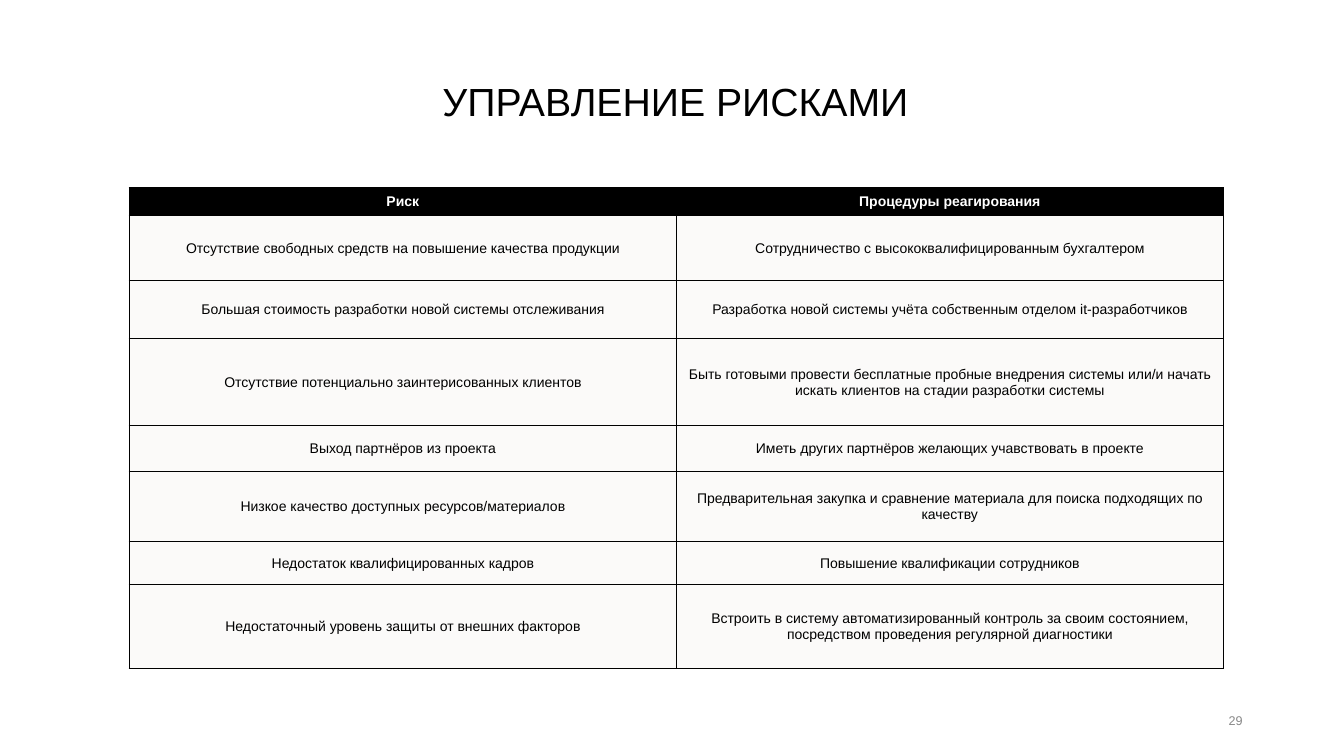
import pptx
import pptx.util
import pptx.dml.color
import pptx.enum.text
import pptx.oxml
import pptx.oxml.ns

Inches = pptx.util.Inches
Pt = pptx.util.Pt
RGBColor = pptx.dml.color.RGBColor
PP_ALIGN = pptx.enum.text.PP_ALIGN
MSO_ANCHOR = pptx.enum.text.MSO_ANCHOR

BLACK = RGBColor(0x00, 0x00, 0x00)
WHITE = RGBColor(0xFF, 0xFF, 0xFF)
CREAM = RGBColor(0xFB, 0xFA, 0xF9)
GREY = RGBColor(0x88, 0x88, 0x88)
FONT = "Arial"

SLIDE_W, SLIDE_H = Inches(13.33), Inches(7.5)
COL_WIDTHS = [5.43, 5.42]
ROW_HEIGHTS = [0.28, 0.64, 0.58, 0.86, 0.46, 0.69, 0.43, 0.83]
RISKS = [
    ("Риск", "Процедуры реагирования"),
    ("Отсутствие свободных средств на повышение качества продукции",
     "Сотрудничество с высококвалифицированным бухгалтером"),
    ("Большая стоимость разработки новой системы отслеживания",
     "Разработка новой системы учёта собственным отделом it-разработчиков"),
    ("Отсутствие потенциально заинтерисованных клиентов",
     "Быть готовыми провести бесплатные пробные внедрения системы или/и начать "
     "искать клиентов на стадии разработки системы"),
    ("Выход партнёров из проекта",
     "Иметь других партнёров желающих учавствовать в проекте"),
    ("Низкое качество доступных ресурсов/материалов",
     "Предварительная закупка и сравнение материала для поиска подходящих по качеству"),
    ("Недостаток квалифицированных кадров", "Повышение квалификации сотрудников"),
    ("Недостаточный уровень защиты от внешних факторов",
     "Встроить в систему автоматизированный контроль за своим состоянием, "
     "посредством проведения регулярной диагностики"),
]


def write(tf, text, size, color, align, bold=False):
    tf.text = text
    tf.word_wrap = True
    p = tf.paragraphs[0]
    p.alignment = align
    font = p.runs[0].font
    font.name = FONT
    font.size = Pt(size)
    font.bold = bold
    font.color.rgb = color


def place(sp, left, top, width, height):
    sp.left, sp.width = int(SLIDE_W * left), int(SLIDE_W * width)
    sp.top, sp.height = int(SLIDE_H * top), int(SLIDE_H * height)


def add_title(s, text):
    sp = s.shapes.title
    place(sp, 0.06, 0.07, 0.885, 0.134)
    tf = sp.text_frame
    write(tf, text, 28, BLACK, PP_ALIGN.CENTER)
    tf.vertical_anchor = MSO_ANCHOR.MIDDLE
    tf.paragraphs[0].line_spacing = 0.9


def add_page_number(s, text):
    sp = s.shapes.add_textbox(0, 0, 0, 0)
    place(sp, 0.707, 0.927, 0.225, 0.053)
    write(sp.text_frame, text, 9, GREY, PP_ALIGN.RIGHT)
    sp.text_frame.vertical_anchor = MSO_ANCHOR.MIDDLE


def set_borders(cell, color, width):
    tcPr = cell._tc.get_or_add_tcPr()
    for side in ("lnL", "lnR", "lnT", "lnB"):
        tcPr.append(pptx.oxml.parse_xml(
            f'<a:{side} {pptx.oxml.ns.nsdecls("a")} w="{Pt(width)}">'
            f'<a:solidFill><a:srgbClr val="{color}"/></a:solidFill></a:{side}>'))


def fill_cell(cell, text, header):
    cell.margin_left = cell.margin_right = cell.margin_top = Inches(0.01)
    cell.margin_bottom = 0
    cell.vertical_anchor = MSO_ANCHOR.MIDDLE
    set_borders(cell, BLACK, 0.75)
    cell.fill.solid()
    cell.fill.fore_color.rgb = BLACK if header else CREAM
    write(cell.text_frame, text, 10, WHITE if header else BLACK,
          PP_ALIGN.CENTER, bold=header)


def add_risk_table(s, rows):
    table = s.shapes.add_table(
        len(rows), len(COL_WIDTHS), Inches(1.28), Inches(1.86),
        Inches(sum(COL_WIDTHS)), Inches(sum(ROW_HEIGHTS))).table
    for col, width in zip(table.columns, COL_WIDTHS):
        col.width = Inches(width)
    for i, (row, height) in enumerate(zip(table.rows, ROW_HEIGHTS)):
        row.height = Inches(height)
        for cell, text in zip(row.cells, rows[i]):
            fill_cell(cell, text, header=i == 0)


def main():
    prs = pptx.Presentation()
    prs.slide_width, prs.slide_height = SLIDE_W, SLIDE_H
    s = prs.slides.add_slide(prs.slide_layouts[5])
    add_title(s, "УПРАВЛЕНИЕ РИСКАМИ")
    add_page_number(s, "29")
    add_risk_table(s, RISKS)
    prs.save("out.pptx")


if __name__ == "__main__":
    main()
